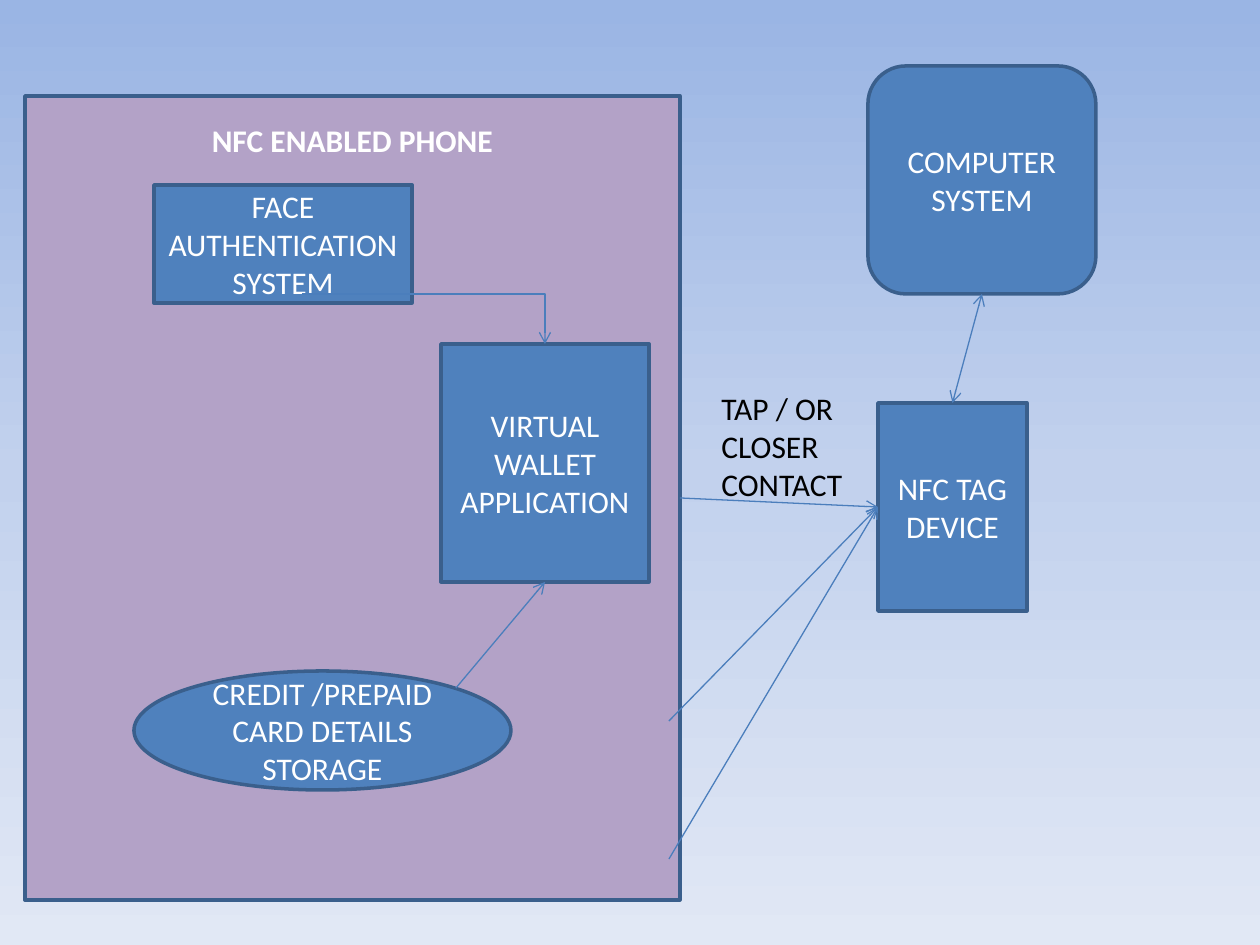
from copy import deepcopy
from pptx import Presentation
from pptx.dml.color import RGBColor
from pptx.enum.shapes import MSO_CONNECTOR as Link, MSO_SHAPE as Kind
from pptx.enum.text import MSO_ANCHOR as Anchor, PP_ALIGN as Align
from pptx.oxml.ns import qn
from pptx.oxml.xmlchemy import OxmlElement as Node
from pptx.util import Pt

PX = 914400 // 126
WHITE, BLACK = RGBColor(255, 255, 255), RGBColor(0, 0, 0)
BLUE, MAUVE = RGBColor(0x4F, 0x81, 0xBD), RGBColor(0xB3, 0xA2, 0xC7)
EDGE, WIRE = RGBColor(0x3A, 0x5F, 0x8C), RGBColor(0x4B, 0x7E, 0xBC)
SKY = [(0, RGBColor(0x9A, 0xB5, 0xE4)), (0.5, RGBColor(0xC2, 0xD1, 0xED)),
       (1, RGBColor(0xE1, 0xE8, 0xF5))]

# name: (kind, (left, top, width, height), fill, text, text format)
BOXES = {
    "phone": (Kind.RECTANGLE, (25, 96, 655, 804), MAUVE, "NFC ENABLED PHONE",
              dict(bold=True, anchor=Anchor.TOP, inset=25)),
    "face": (Kind.RECTANGLE, (154, 185, 258, 118), BLUE,
             "FACE AUTHENTICATION SYSTEM", {}),
    "cards": (Kind.OVAL, (134, 671, 377, 119), BLUE,
              "CREDIT /PREPAID CARD DETAILS STORAGE", {}),
    "wallet": (Kind.RECTANGLE, (441, 344, 208, 238), BLUE,
               "VIRTUAL WALLET APPLICATION", {}),
    "tag": (Kind.RECTANGLE, (878, 403, 149, 208), BLUE, "NFC TAG DEVICE", {}),
    "computer": (Kind.ROUNDED_RECTANGLE, (868, 66, 228, 228), BLUE,
                 "COMPUTER SYSTEM", {}),
}
LABEL = ((709, 383, 159, 127), "TAP / OR CLOSER CONTACT")

# (start, end, bent, two-way); an end is a point or a (box, side) pair
LINKS = [
    ((456, 688), ("wallet", "bottom"), False, False),
    ((302, 294), ("wallet", "top"), True, False),
    (("phone", "right"), ("tag", "left"), False, False),
    ((669, 721), ("tag", "left"), False, False),
    ((669, 859), ("tag", "left"), False, False),
    (("tag", "top"), ("computer", "bottom"), False, True),
]
SIDES = {"top": (0.5, 0), "bottom": (0.5, 1), "left": (0, 0.5), "right": (1, 0.5)}


def emu(*sizes):
    """Turn pixels into EMU."""
    return [round(size * PX) for size in sizes]


def spot(end):
    """Find the pixel point of a link end."""
    if end[0] not in BOXES:
        return end
    x, y, wide, high = BOXES[end[0]][1]
    across, down = SIDES[end[1]]
    return x + wide * across, y + high * down


def write(shape, text, color=WHITE, bold=False, align=Align.CENTER,
          anchor=Anchor.MIDDLE, inset=6):
    """Put formatted text in a shape."""
    frame = shape.text_frame
    frame.word_wrap = True
    frame.vertical_anchor = anchor
    frame.margin_top = inset * PX
    para = frame.paragraphs[0]
    para.alignment = align
    run = para.add_run()
    run.text = text
    font = run.font
    font.name, font.size, font.bold = "Calibri", Pt(18), bold
    font.color.rgb = color


def draw(kind, place, fill, text, style):
    """Add one filled box with its text."""
    box = slide.shapes.add_shape(kind, *emu(*place))
    box.shadow.inherit = False
    box.fill.solid()
    box.fill.fore_color.rgb = fill
    box.line.color.rgb = EDGE
    box.line.width = Pt(2)
    write(box, text, **style)


def join(start, end, bent, both):
    """Add one arrow between two ends."""
    kind = Link.ELBOW if bent else Link.STRAIGHT
    wire = slide.shapes.add_connector(kind, *emu(*spot(start), *spot(end)))
    wire.line.color.rgb = WIRE
    wire.line.width = Pt(0.75)
    props = wire.element.spPr
    if bent:
        props.find(qn("a:prstGeom")).set("prst", "bentConnector2")
    for name in ["a:headEnd"] * both + ["a:tailEnd"]:
        tip = Node(name)
        tip.set("type", "arrow")
        props.find(qn("a:ln")).append(tip)
    props.append(Node("a:effectLst"))


def shade():
    """Fill the background from top to bottom."""
    fill = slide.background.fill
    fill.gradient()
    fill.gradient_angle = 270
    stops = next(slide.element.iter(qn("a:gsLst")))
    stops.append(deepcopy(stops[-1]))
    for stop, (place, color) in zip(fill.gradient_stops, SKY):
        stop.position = place
        stop.color.rgb = color


deck = Presentation()
deck.slide_width, deck.slide_height = emu(1260, 945)
slide = deck.slides.add_slide(deck.slide_layouts[6])
shade()
for box in BOXES.values():
    draw(*box)
for link in LINKS:
    join(*link)
place, text = LABEL
write(slide.shapes.add_textbox(*emu(*place)), text, color=BLACK,
      align=Align.LEFT, anchor=Anchor.TOP)
deck.save("out.pptx")
